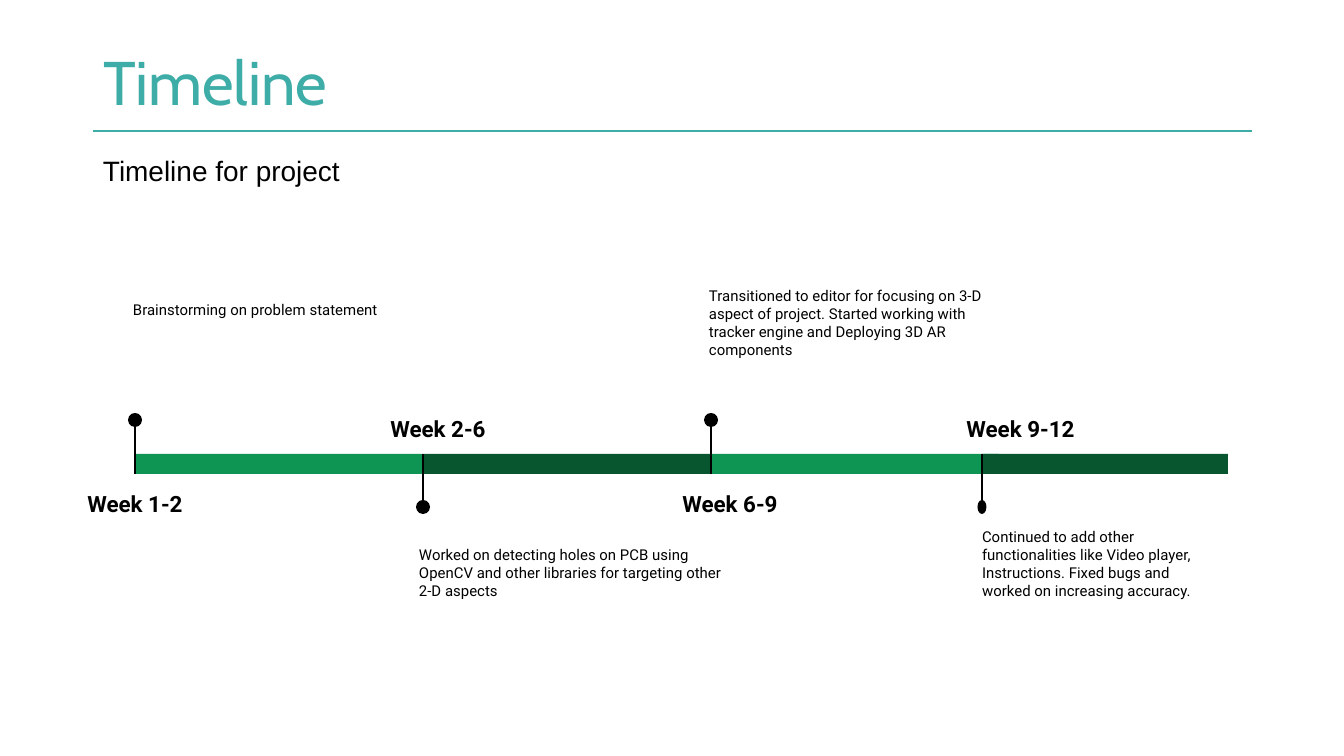
from collections import namedtuple
from lxml import etree
from pptx import Presentation
from pptx import util as u
from pptx.dml.color import RGBColor
from pptx.enum import shapes, text
from pptx.oxml.ns import qn

Theme = namedtuple("Theme", "teal green forest ink title_size lead_size week_size note_size")
theme = Theme(
    teal=RGBColor.from_string("3EADA7"),
    green=RGBColor.from_string("0E9453"),
    forest=RGBColor.from_string("085630"),
    ink=RGBColor.from_string("000000"),
    title_size=33, lead_size=15, week_size=12, note_size=8,
)
PX = 914400 / 134.4

deck = Presentation()
deck.slide_width, deck.slide_height = round(1344 * PX), round(756 * PX)
slide = deck.slides.add_slide(deck.slide_layouts[6])


def add_words(words, box, size, font, color, inset, spacing=1.0):
    label = slide.shapes.add_textbox(*[round(v * PX) for v in box])
    frame = label.text_frame
    frame.word_wrap = True
    frame.margin_left, frame.margin_top, frame.margin_right, frame.margin_bottom = [
        round(v * PX) for v in inset]
    frame.text = words
    line = frame.paragraphs[0]
    line.line_spacing = spacing
    face = line.runs[0].font
    face.size, face.name, face.color.rgb = u.Pt(size), font, color
    return frame


def add_rule(x1, y1, x2, y2, color):
    rule = slide.shapes.add_connector(
        shapes.MSO_CONNECTOR.STRAIGHT, *[round(v * PX) for v in (x1, y1, x2, y2)])
    rule.line.color.rgb = color
    rule.line.width = u.Pt(0.75)
    etree.SubElement(rule._element.spPr, qn("a:effectLst"))


add_rule(93, 131, 1252, 131, theme.teal)
title = add_words("Timeline", (93, 40, 1042, 91), theme.title_size, "Cabin",
                  theme.teal, (10, 5, 10, 5), 0.9)
title.vertical_anchor = text.MSO_ANCHOR.MIDDLE
add_words("Timeline for project", (93, 152, 1159, 530), theme.lead_size, "Arial",
          theme.ink, (10, 5, 10, 5), 0.9)

BAR_TOP, BAR_HEIGHT, PIN, DOT = 454, 20, 53, 14
NOTE_LINE = 18
phases = [
    ("Week 1-2", "Brainstorming on problem statement",
     135, 288, 14, (71, 128), (120, 298), 2),
    ("Week 2-6", "Worked on detecting holes on PCB using OpenCV and other libraries "
     "for targeting other 2-D aspects",
     423, 288, 14, (370, 136), (406, 331), 1),
    ("Week 6-9", "Transitioned to editor for focusing on 3-D aspect of project. "
     "Started working with tracker engine and Deploying 3D AR components",
     711, 288, 14, (664, 132), (696, 331), 0),
    ("Week 9-12", "Continued to add other functionalities like Video player, "
     "Instructions. Fixed bugs and worked on increasing accuracy.",
     982, 246, 9, (943, 155), (969, 237), 0),
]

for order, phase in enumerate(phases):
    week, note, start, length, dot_width, week_span, note_span, lines_down = phase
    pin_up = order % 2 == 0
    if pin_up:
        pin_from, pin_to = BAR_TOP + BAR_HEIGHT, BAR_TOP + BAR_HEIGHT - PIN
        dot_top, week_top, note_top = 413, 473, 274
    else:
        pin_from, pin_to = BAR_TOP, BAR_TOP + PIN
        dot_top, week_top, note_top = 500, 398, 515

    bar_box = (start, BAR_TOP, length, BAR_HEIGHT)
    dot_box = (start - dot_width / 2, dot_top, dot_width, DOT)
    for kind, box, color in (
        (shapes.MSO_SHAPE.RECTANGLE, bar_box, theme.green if pin_up else theme.forest),
        (shapes.MSO_SHAPE.OVAL, dot_box, theme.ink),
    ):
        mark = slide.shapes.add_shape(kind, *[round(v * PX) for v in box])
        mark.shadow.inherit = False
        mark.fill.solid()
        mark.fill.fore_color.rgb = color
        mark.line.fill.background()
    add_rule(start, pin_to, start, pin_from, theme.ink)

    heading = add_words(week, (week_span[0], week_top, week_span[1], 55),
                        theme.week_size, "Roboto", theme.ink, (13, 13, 13, 13), 1.15)
    heading.paragraphs[0].alignment = text.PP_ALIGN.CENTER
    heading.paragraphs[0].runs[0].font.bold = True
    add_words(note, (note_span[0], note_top, note_span[1], 138), theme.note_size,
              "Roboto", theme.ink, (13, 13 + NOTE_LINE * lines_down, 13, 13))

deck.save("out.pptx")
